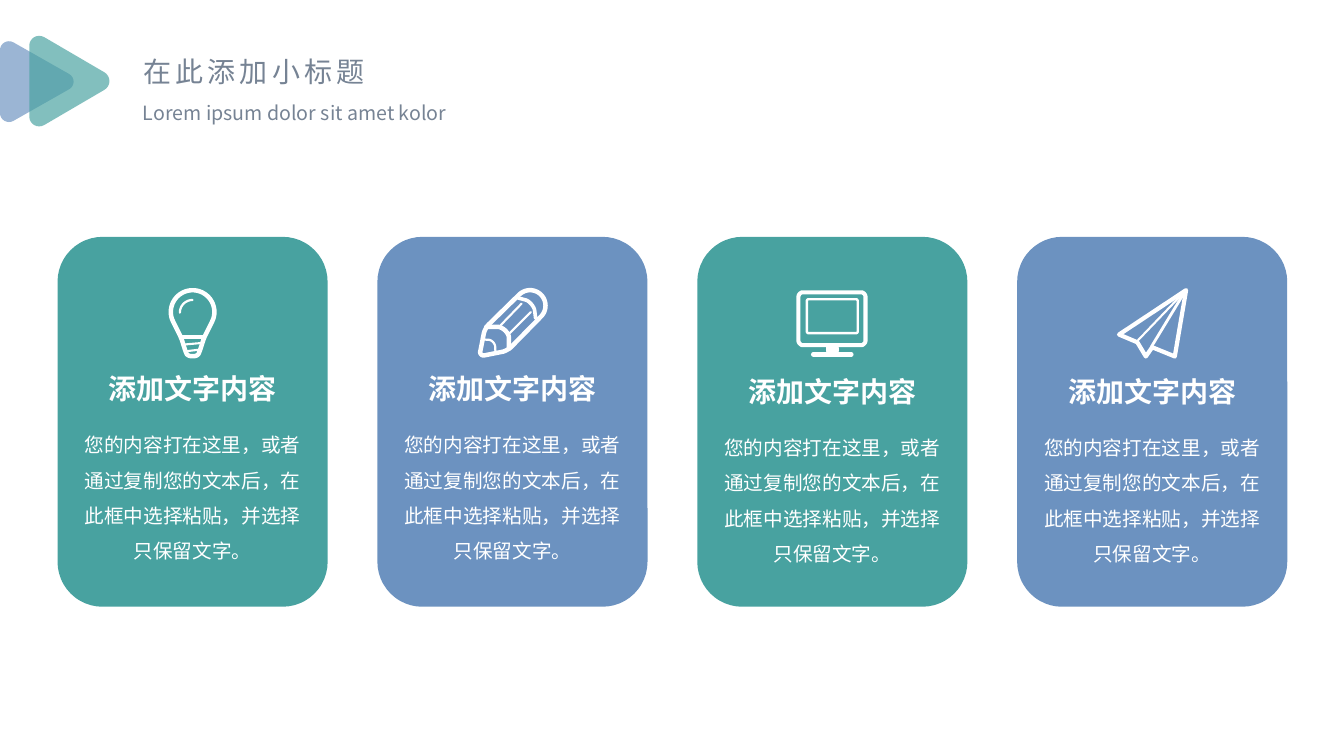
from dataclasses import dataclass
from math import cos, hypot, radians, sin

from pptx import Presentation
from pptx.dml.color import RGBColor
from pptx.enum.shapes import MSO_SHAPE
from pptx.enum.text import MSO_ANCHOR, MSO_AUTO_SIZE, PP_ALIGN
from pptx.oxml.ns import qn
from pptx.oxml.xmlchemy import OxmlElement
from pptx.util import Inches, Pt

TEAL = RGBColor(0x48, 0xA2, 0xA0)
BLUE = RGBColor(0x6C, 0x92, 0xC0)
SLATE = RGBColor(0x76, 0x83, 0x94)
WHITE = RGBColor(0xFF, 0xFF, 0xFF)
FONT = "Noto Sans CJK SC"
WIDTH, HEIGHT = Inches(13.33), Inches(7.5)

# Card grid, in percent of the slide
FIRST_LEFT, PITCH, CARD_WIDTH = 4.28, 23.8, 20.1
CARD_TOP, CARD_HEIGHT = 31.33, 48.93
ICON_SIDE, ICON_TOP = 5.25, 38.1

CARD_TITLE = "添加文字内容"
CARD_BODY = "您的内容打在这里，或者通过复制您的文本后，在此框中选择粘贴，并选择只保留文字。"

TITLE_FORMAT = {"size": Pt(20), "color": SLATE, "spacing": 300}
SUBTITLE_FORMAT = {"size": Pt(14), "color": SLATE}
CARD_TITLE_FORMAT = {"size": Pt(20), "color": WHITE, "bold": True, "alignment": PP_ALIGN.CENTER}
CARD_BODY_FORMAT = {"size": Pt(14), "color": WHITE, "alignment": PP_ALIGN.CENTER,
                    "line_spacing": 1.5, "word_wrap": True}

Point = tuple[float, float]


@dataclass
class Stroke:
    """One white line of an icon; points and cut are percent of the icon's side."""
    points: list[Point]
    width: float = 3.2
    cut: float = 0
    closed: bool = False
    filled: bool = False


@dataclass
class Card:
    color: RGBColor
    icon: list[Stroke]
    text_drop: float = 0


@dataclass
class Triangle:
    corners: list[Point]
    cut: float
    color: RGBColor


def across(percent: float) -> int:
    return round(WIDTH * percent / 100)


def down(percent: float) -> int:
    return round(HEIGHT * percent / 100)


def arc(center: Point, radius: float, start: int, end: int) -> list[Point]:
    """Points every 10 degrees, clockwise from the right."""
    return [(center[0] + radius * cos(radians(a)), center[1] + radius * sin(radians(a)))
            for a in range(start, end + 1, 10)]


BULB = [
    Stroke(arc((50, 34), 31, 160, 380)
           + [(66, 71), (60, 90), (57, 96.5), (43, 96.5), (40, 90), (34, 71)], cut=4, closed=True),
    Stroke([(34, 69), (66, 69)], 2.9),
    Stroke([(39, 80), (62, 78)], 1.5),
    Stroke([(42, 89.5), (59, 87.5)], 1.5),
    Stroke(arc((50, 35), 18, 180, 270), 1.6),
]
PENCIL = [
    Stroke([(3, 97), (11, 57)] + arc((75, 25), 22, -135, 45) + [(43, 89)], cut=7, closed=True),
    Stroke([(13, 55), (45, 55), (45, 86)], cut=24),
    Stroke([(58, 14), (80, 20), (83, 43)], 2.6, cut=18),
    Stroke([(33, 53), (63, 22)], 1.5),
    Stroke([(46, 64), (76, 34)], 1.5),
    Stroke([(9, 73), (25, 74), (26, 91)], 1.6, cut=13),
]
MONITOR = [
    Stroke([(2, 6), (97, 6), (97, 81), (2, 81)], 2.9, cut=6, closed=True),
    Stroke([(14, 16), (86, 16), (86, 64), (14, 64)], 1.7, cut=2, closed=True),
    Stroke([(42, 84), (58, 84), (58, 90), (42, 90)], 1, closed=True, filled=True),
    Stroke([(23, 94), (77, 94)], 3.2),
]
PLANE = [
    Stroke([(98, 3), (3, 66), (29, 77), (41, 97), (50, 84), (82, 97)], 3, closed=True),
    Stroke([(97, 4), (29, 75)], 1.5),
    Stroke([(97, 4), (49, 83)], 2),
]
CARDS = [Card(TEAL, BULB), Card(BLUE, PENCIL), Card(TEAL, MONITOR, 0.35), Card(BLUE, PLANE, 0.35)]
TRIANGLES = [
    Triangle([(0, 4.6), (0, 17), (6.15, 10.8)], 1.16, BLUE),
    Triangle([(2.18, 3.77), (2.18, 17.7), (8.89, 10.73)], 1.3, TEAL),
]


def round_corners(corners: list[Point], cut: float, closed: bool) -> list[Point]:
    """Replace each corner by a cubic curve that starts and ends cut away from it."""
    points, count = [], len(corners)
    for index, corner in enumerate(corners):
        if not cut or (not closed and index in (0, count - 1)):
            points.append(corner)
            continue
        ends = []
        for other in (corners[index - 1], corners[(index + 1) % count]):
            length = hypot(other[0] - corner[0], other[1] - corner[1])
            share = min(cut / length, 0.5)
            ends.append([c + (o - c) * share for c, o in zip(corner, other)])
        for t in (step / 8 for step in range(9)):
            weights = (1 - t) ** 3, 3 * t * (1 - t) ** 2, 3 * t * t * (1 - t), t ** 3
            curve = []
            for axis in (0, 1):
                a, b, c = ends[0][axis], ends[1][axis], corner[axis]
                controls = a, a + (c - a) * 0.45, b + (c - b) * 0.45, b
                curve.append(sum(w * value for w, value in zip(weights, controls)))
            points.append(tuple(curve))
    return points


def add_outline(slide, points: list[Point], closed: bool):
    builder = slide.shapes.build_freeform(*points[0])
    builder.add_line_segments(points[1:], close=closed)
    shape = builder.convert_to_shape()
    shape.shadow.inherit = False
    return shape


def fill_solid(shape, color: RGBColor) -> None:
    shape.fill.solid()
    shape.fill.fore_color.rgb = color


def add_triangle(slide, triangle: Triangle) -> None:
    corners = [(across(x), down(y)) for x, y in triangle.corners]
    shape = add_outline(slide, round_corners(corners, across(triangle.cut), True), True)
    fill_solid(shape, triangle.color)
    shape.line.fill.background()
    alpha = OxmlElement("a:alpha")
    alpha.set("val", "68000")
    shape.element.spPr.find(qn("a:solidFill"))[0].append(alpha)


def add_stroke(slide, stroke: Stroke, left: float) -> None:
    unit = across(ICON_SIDE) / 100
    points = [(across(left) + x * unit, down(ICON_TOP) + y * unit)
              for x, y in round_corners(stroke.points, stroke.cut, stroke.closed)]
    shape = add_outline(slide, points, stroke.closed)
    if stroke.filled:
        fill_solid(shape, WHITE)
    else:
        shape.fill.background()
    shape.line.color.rgb = WHITE
    shape.line.width = Pt(stroke.width)
    line = shape.element.spPr.find(qn("a:ln"))
    line.set("cap", "rnd")
    line.append(OxmlElement("a:round"))


def write_text(shape, text: str, formats: dict) -> None:
    frame = shape.text_frame
    frame.word_wrap = formats.get("word_wrap", False)
    frame.auto_size = MSO_AUTO_SIZE.SHAPE_TO_FIT_TEXT
    frame.vertical_anchor = MSO_ANCHOR.TOP
    paragraph = frame.paragraphs[0]
    paragraph.alignment = PP_ALIGN.LEFT
    run = paragraph.add_run()
    run.text = text
    run.font.name = FONT
    run.font.color.rgb = formats["color"]
    for name, value in formats.items():
        if name in ("size", "bold"):
            setattr(run.font, name, value)
        elif name in ("alignment", "line_spacing"):
            setattr(paragraph, name, value)
    properties = run._r.get_or_add_rPr()
    properties.set("spc", str(formats.get("spacing", 0)))
    east_asian = OxmlElement("a:ea")
    east_asian.set("typeface", FONT)
    properties.find(qn("a:latin")).addnext(east_asian)


def add_text(slide, box: tuple[float, float, float, float], text: str, formats: dict) -> None:
    left, top, width, height = box
    shape = slide.shapes.add_textbox(across(left), down(top), across(width), down(height))
    write_text(shape, text, formats)


def add_card(slide, card: Card, left: float) -> None:
    shape = slide.shapes.add_shape(MSO_SHAPE.ROUNDED_RECTANGLE, across(left), down(CARD_TOP),
                                   across(CARD_WIDTH), down(CARD_HEIGHT))
    shape.shadow.inherit = False
    fill_solid(shape, card.color)
    shape.line.fill.background()
    drop = card.text_drop
    add_text(slide, (left + 2.8, 48.5 + drop, 14.5, 5.87), CARD_TITLE, CARD_TITLE_FORMAT)
    add_text(slide, (left + 0.7, 55.1 + drop, 18.7, 20.13), CARD_BODY, CARD_BODY_FORMAT)
    for stroke in card.icon:
        add_stroke(slide, stroke, left + (CARD_WIDTH - ICON_SIDE) / 2)


def main() -> None:
    presentation = Presentation()
    presentation.slide_width, presentation.slide_height = WIDTH, HEIGHT
    slide = presentation.slides.add_slide(presentation.slide_layouts[5])
    title = slide.shapes.title
    title.left, title.top, title.width, title.height = across(9.9), down(6.5), across(18.45), down(5.87)
    write_text(title, "在此添加小标题", TITLE_FORMAT)
    add_text(slide, (9.9, 12.7, 24.2, 4.5), "Lorem ipsum dolor sit amet kolor", SUBTITLE_FORMAT)
    for triangle in TRIANGLES:
        add_triangle(slide, triangle)
    for index, card in enumerate(CARDS):
        add_card(slide, card, FIRST_LEFT + index * PITCH)
    presentation.save("out.pptx")


if __name__ == "__main__":
    main()
